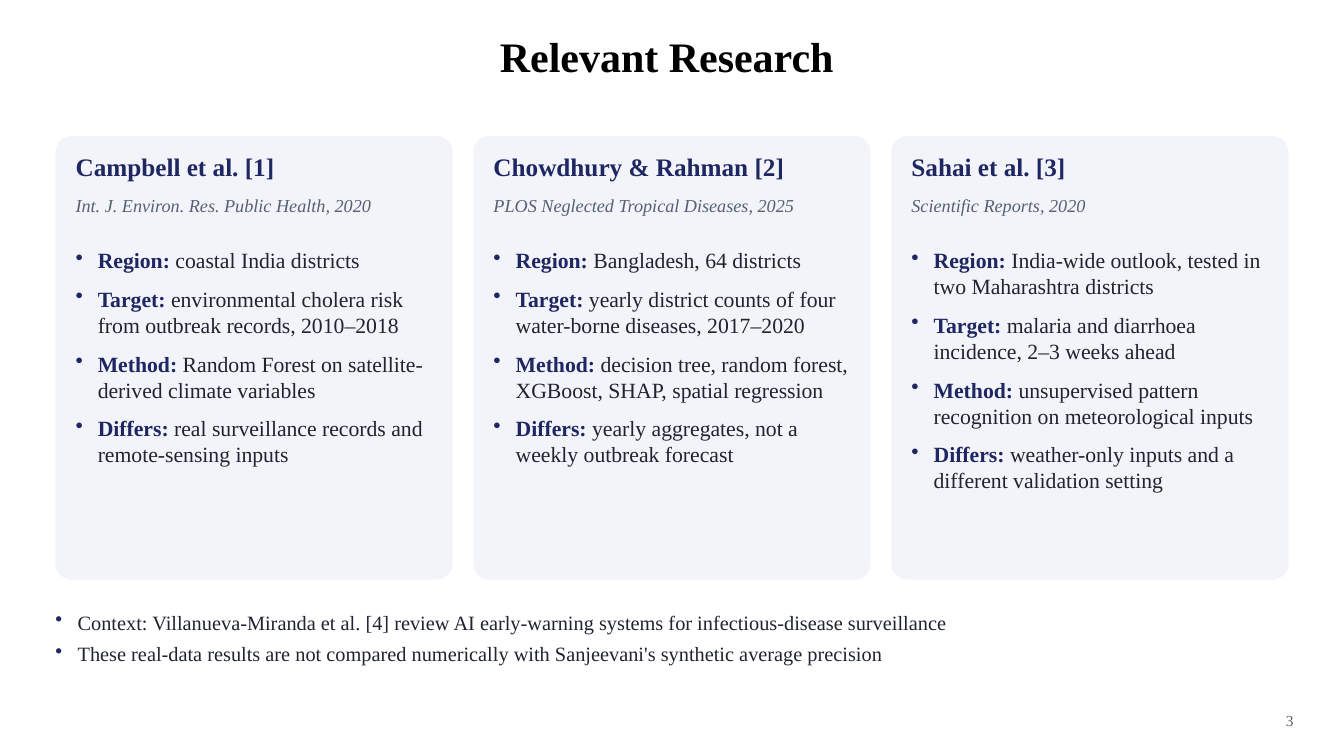
from dataclasses import dataclass

from lxml.etree import SubElement
from pptx import Presentation
from pptx.dml.color import RGBColor
from pptx.enum.shapes import MSO_SHAPE as Shape
from pptx.enum.text import MSO_ANCHOR as Anchor, PP_ALIGN as Align
from pptx.oxml.ns import qn
from pptx.slide import Slide
from pptx.text.text import TextFrame, _Paragraph as Paragraph, _Run as Run
from pptx.util import Inches, Pt

FONT = "Times New Roman"
NAVY, INK, GREY, BLACK, PALE = "1E2761", "1F2430", "566074", "000000", "F3F4FA"

# Layout in inches
MARGIN, CONTENT_WIDTH = 0.55, 12.23
CARD_TOP, CARD_WIDTH, CARD_HEIGHT = 1.35, 3.94, 4.4
CARD_PADDING = 0.2
BULLET_INDENT = 0.22


@dataclass
class Study:
    authors: str
    journal: str
    region: str
    target: str
    method: str
    differs: str

    def facts(self) -> list[tuple[str, str]]:
        return [("Region: ", self.region), ("Target: ", self.target),
                ("Method: ", self.method), ("Differs: ", self.differs)]


STUDIES = [
    Study("Campbell et al. [1]", "Int. J. Environ. Res. Public Health, 2020",
          "coastal India districts",
          "environmental cholera risk from outbreak records, 2010–2018",
          "Random Forest on satellite-derived climate variables",
          "real surveillance records and remote-sensing inputs"),
    Study("Chowdhury & Rahman [2]", "PLOS Neglected Tropical Diseases, 2025",
          "Bangladesh, 64 districts",
          "yearly district counts of four water-borne diseases, 2017–2020",
          "decision tree, random forest, XGBoost, SHAP, spatial regression",
          "yearly aggregates, not a weekly outbreak forecast"),
    Study("Sahai et al. [3]", "Scientific Reports, 2020",
          "India-wide outlook, tested in two Maharashtra districts",
          "malaria and diarrhoea incidence, 2–3 weeks ahead",
          "unsupervised pattern recognition on meteorological inputs",
          "weather-only inputs and a different validation setting"),
]
NOTES = [
    [("", "Context: Villanueva-Miranda et al. [4] review AI early-warning systems "
          "for infectious-disease surveillance")],
    [("", "These real-data results are not compared numerically with "
          "Sanjeevani's synthetic average precision")],
]


def rgb(color: str) -> RGBColor:
    return RGBColor.from_string(color)


def style_run(run: Run, size: float, color: str, bold: bool = False,
              italic: bool = False) -> None:
    run.font.name = FONT
    run.font.size = Pt(size)
    run.font.color.rgb = rgb(color)
    run.font.bold = bold
    run.font.italic = italic


def add_text_frame(slide: Slide, left: float, top: float, width: float,
                   height: float) -> TextFrame:
    box = slide.shapes.add_textbox(Inches(left), Inches(top), Inches(width), Inches(height))
    frame = box.text_frame
    frame.word_wrap = True
    frame.margin_left = frame.margin_right = frame.margin_top = frame.margin_bottom = 0
    return frame


def add_line(slide: Slide, text: str, left: float, top: float, width: float, height: float,
             size: float, color: str, bold: bool = False, italic: bool = False,
             align: Align = Align.LEFT, anchor: Anchor = Anchor.TOP) -> None:
    frame = add_text_frame(slide, left, top, width, height)
    frame.vertical_anchor = anchor
    frame.text = text
    paragraph = frame.paragraphs[0]
    paragraph.alignment = align
    style_run(paragraph.runs[0], size, color, bold, italic)


def set_bullet(paragraph: Paragraph) -> None:
    properties = paragraph._p.get_or_add_pPr()
    properties.set("marL", str(Inches(BULLET_INDENT)))
    properties.set("indent", str(-Inches(BULLET_INDENT)))
    color = SubElement(properties, qn("a:buClr"))
    SubElement(color, qn("a:srgbClr"), val=NAVY)
    SubElement(properties, qn("a:buChar"), char="•")


def add_bullets(slide: Slide, items: list[tuple[str, str]], left: float, top: float,
                width: float, height: float, size: float, space_after: float) -> None:
    """Write one bullet per item, with its label, if any, in bold."""
    frame = add_text_frame(slide, left, top, width, height)
    for index, (label, detail) in enumerate(items):
        paragraph = frame.add_paragraph() if index else frame.paragraphs[0]
        set_bullet(paragraph)
        paragraph.space_after = Pt(space_after)
        for text, color, bold in ((label, NAVY, True), (detail, INK, False)):
            if text:
                run = paragraph.add_run()
                run.text = text
                style_run(run, size, color, bold)


def add_study_card(slide: Slide, study: Study, left: float) -> None:
    card = slide.shapes.add_shape(Shape.ROUNDED_RECTANGLE, Inches(left), Inches(CARD_TOP),
                                  Inches(CARD_WIDTH), Inches(CARD_HEIGHT))
    card.adjustments[0] = 0.04
    card.shadow.inherit = False
    card.fill.solid()
    card.fill.fore_color.rgb = rgb(PALE)
    card.line.fill.background()

    text_left = left + CARD_PADDING
    text_width = CARD_WIDTH - 2 * CARD_PADDING
    add_line(slide, study.authors, text_left, 1.5, text_width, 0.4, 18, NAVY, bold=True)
    add_line(slide, study.journal, text_left, 1.93, text_width, 0.3, 13, GREY, italic=True)
    add_bullets(slide, study.facts(), text_left, 2.45, text_width, 3.25, 15.5, 9)


def main() -> None:
    presentation = Presentation()
    presentation.slide_width = Inches(13.33)
    presentation.slide_height = Inches(7.5)
    slide = presentation.slides.add_slide(presentation.slide_layouts[6])

    # Title and page number
    add_line(slide, "Relevant Research", 2.3, 0.2, 8.73 - 0.1, 0.7, 30, BLACK, bold=True,
             align=Align.CENTER, anchor=Anchor.MIDDLE)
    add_line(slide, "3", 12.33, 7.05, 0.5, 0.25, 11, GREY, align=Align.RIGHT)

    # Study cards, spread evenly over the content width
    pitch = (CONTENT_WIDTH - CARD_WIDTH) / (len(STUDIES) - 1)
    for index, study in enumerate(STUDIES):
        add_study_card(slide, study, MARGIN + index * pitch)

    # Closing remarks
    remarks = [remark for group in NOTES for remark in group]
    add_bullets(slide, remarks, MARGIN, 6.05, CONTENT_WIDTH, 0.85, 14.5, 5)

    presentation.save("out.pptx")


if __name__ == "__main__":
    main()
